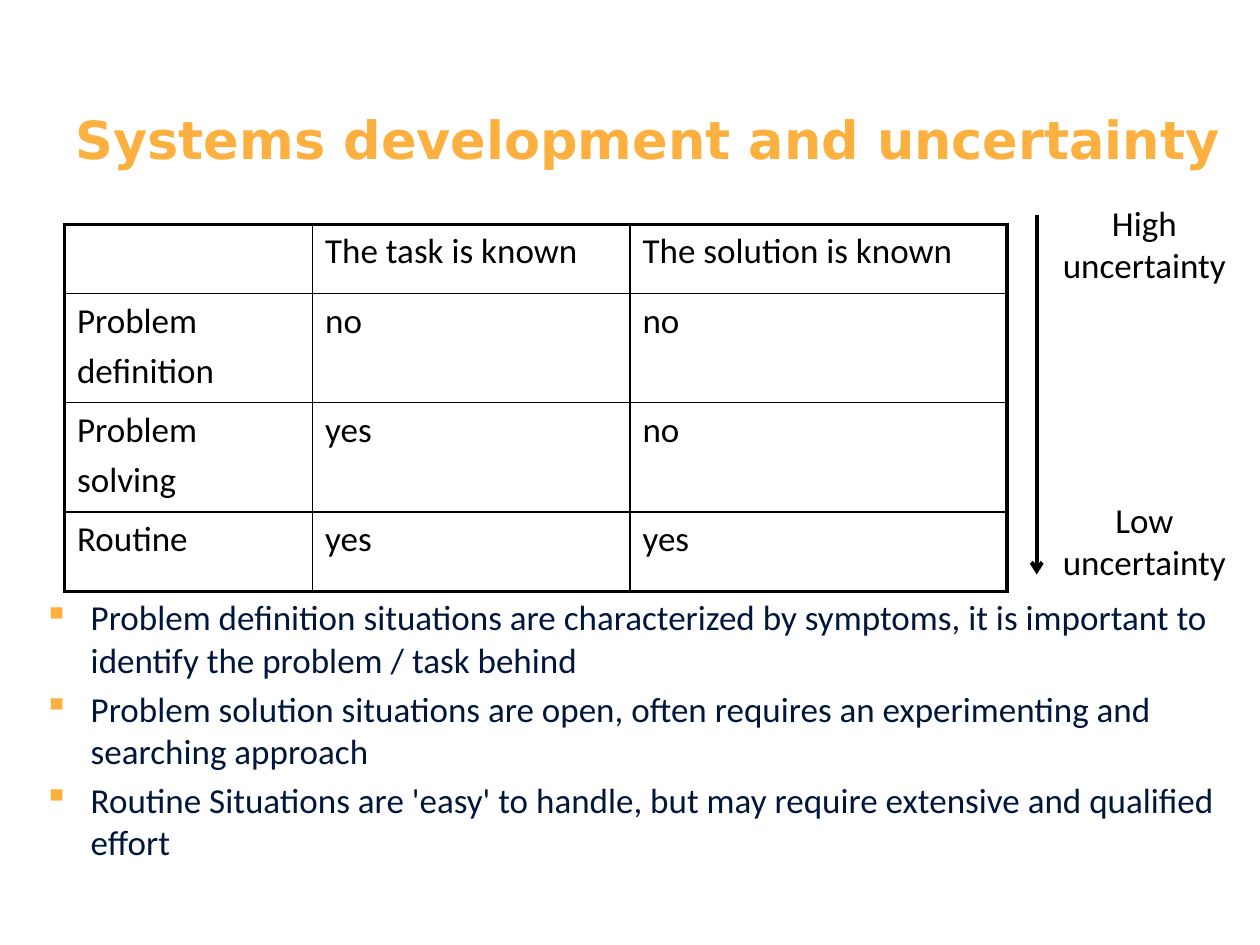
"""Build a slide on systems development and uncertainty."""
from lxml.etree import SubElement
from pptx import Presentation
from pptx.dml.color import RGBColor
from pptx.enum.shapes import MSO_CONNECTOR
from pptx.enum.text import MSO_ANCHOR, MSO_AUTO_SIZE, PP_ALIGN
from pptx.oxml.ns import qn
from pptx.util import Cm, Pt

TITLE = "Systems development and uncertainty"
ROWS = [
    ["", "The task is known", "The solution is known"],
    ["Problem\ndefinition", "no", "no"],
    ["Problem\nsolving", "yes", "no"],
    ["Routine", "yes", "yes"],
]
COL_WIDTHS = [5, 6.4, 7.6]
ROW_HEIGHTS = [1.4, 2.2, 2.2, 1.6]
BULLETS = [
    "Problem definition situations are characterized by symptoms, "
    "it is important to identify the problem / task behind",
    "Problem solution situations are open, often requires an "
    "experimenting and searching approach",
    "Routine Situations are 'easy' to handle, but may require "
    "extensive and qualified effort",
]
LABELS = [("High\nuncertainty", 3.94), ("Low\nuncertainty", 9.93)]
BLACK, NAVY, ORANGE = "000000", "00163B", "FBB040"
THIN, THICK = Pt(1), Pt(2.25)
BODY = {"name": "Calibri", "size": Pt(20), "bold": False}
HEADING = {"name": "DejaVu Sans", "size": Pt(30), "bold": True}


def rgb(value):
    """Turn a hex string into a colour."""
    return RGBColor.from_string(value)


def write(tf, text, font, color, **layout):
    """Fill a text frame with one formatted paragraph per line."""
    for i, line in enumerate(text.split("\n")):
        p = tf.paragraphs[0] if i == 0 else tf.add_paragraph()
        for name, value in layout.items():
            setattr(p, name, value)
        r = p.add_run()
        r.text = line
        for name, value in font.items():
            setattr(r.font, name, value)
        r.font.color.rgb = rgb(color)


def add_text_box(s, left, top, width, height, **frame):
    """Add a text box and return its text frame."""
    tf = s.shapes.add_textbox(Cm(left), Cm(top), Cm(width), Cm(height)).text_frame
    for name, value in frame.items():
        setattr(tf, name, value)
    return tf


def add_bullet(p):
    """Give a paragraph a hanging orange square bullet."""
    pPr = p._p.get_or_add_pPr()
    pPr.set("marL", str(Cm(0.95)))
    pPr.set("indent", str(-Cm(0.95)))
    color = SubElement(pPr, qn("a:buClr"))
    SubElement(color, qn("a:srgbClr"), val=ORANGE)
    SubElement(pPr, qn("a:buChar"), char="▪")


def set_borders(cell, widths):
    """Draw the left, right, top and bottom borders of a cell."""
    tcPr = cell._tc.get_or_add_tcPr()
    for side, width in zip("LRTB", widths):
        ln = SubElement(tcPr, qn(f"a:ln{side}"), w=str(width))
        fill = SubElement(ln, qn("a:solidFill"))
        SubElement(fill, qn("a:srgbClr"), val=BLACK)


def add_task_table(s):
    """Add the table with thick outer and thin inner borders."""
    n_rows, n_cols = len(ROWS), len(COL_WIDTHS)
    table = s.shapes.add_table(n_rows, n_cols, Cm(1.3), Cm(4.52),
                               Cm(sum(COL_WIDTHS)), Cm(sum(ROW_HEIGHTS))).table
    table.first_row = table.horz_banding = False
    for col, width in zip(table.columns, COL_WIDTHS):
        col.width = Cm(width)
    for i, row in enumerate(ROWS):
        table.rows[i].height = Cm(ROW_HEIGHTS[i])
        for j, text in enumerate(row):
            cell = table.cell(i, j)
            outer = (j == 0, j == n_cols - 1, i == 0, i == n_rows - 1)
            set_borders(cell, [THICK if edge else THIN for edge in outer])
            cell.fill.background()
            if text:
                write(cell.text_frame, text, BODY, BLACK, space_before=Pt(4))


def add_arrow(s):
    """Add the arrow that points down to low uncertainty."""
    line = s.shapes.add_connector(MSO_CONNECTOR.STRAIGHT,
                                  Cm(20.9), Cm(11.58), Cm(20.9), Cm(4.34))
    line.line.color.rgb = rgb(BLACK)
    line.line.width = THICK
    SubElement(line.line._get_or_add_ln(), qn("a:headEnd"), type="arrow")
    SubElement(line._element.spPr, qn("a:effectLst"))


def main():
    """Build and save the slide."""
    prs = Presentation()
    prs.slide_width, prs.slide_height = Cm(25.4), Cm(19.05)
    s = prs.slides.add_slide(prs.slide_layouts[5])

    title = s.shapes.title
    title.left, title.top, title.width, title.height = map(Cm, (1.27, 2.03, 23.75, 3.18))
    title.text_frame.auto_size = MSO_AUTO_SIZE.NONE
    title.text_frame.vertical_anchor = MSO_ANCHOR.TOP
    write(title.text_frame, TITLE, HEADING, ORANGE, alignment=PP_ALIGN.LEFT)

    tf = add_text_box(s, 0.63, 11.89, 24.13, 5.89, word_wrap=True)
    write(tf, "\n".join(BULLETS), BODY, NAVY, space_before=Pt(4))
    for p in tf.paragraphs:
        add_bullet(p)

    add_task_table(s)
    add_arrow(s)
    for text, top in LABELS:
        tf = add_text_box(s, 21.15, top, 3.84, 1.96, word_wrap=False,
                          auto_size=MSO_AUTO_SIZE.SHAPE_TO_FIT_TEXT)
        write(tf, text, BODY, BLACK, alignment=PP_ALIGN.CENTER)

    prs.save("out.pptx")


if __name__ == "__main__":
    main()
